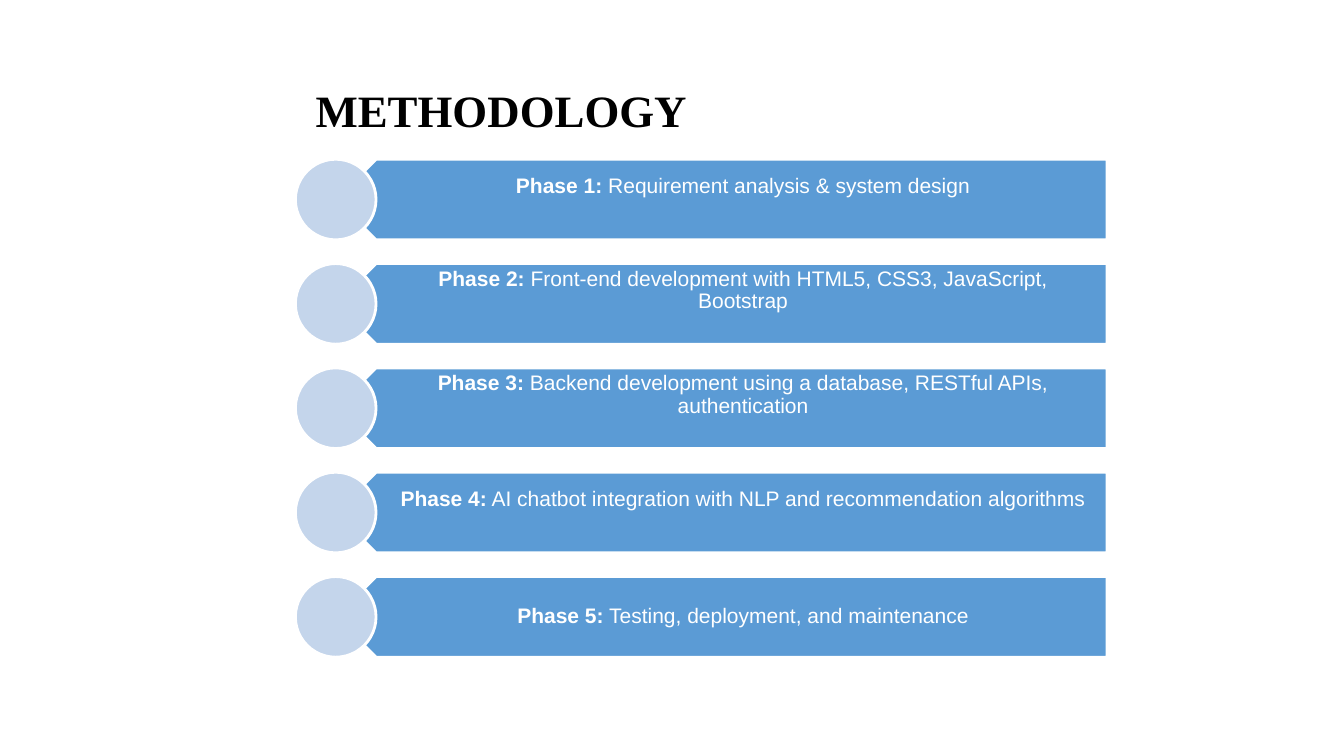
from dataclasses import dataclass

import pptx
import pptx.dml.color
import pptx.enum.shapes
import pptx.enum.text
import pptx.util
from pptx.util import Inches

MSO_SHAPE = pptx.enum.shapes.MSO_SHAPE
PP_ALIGN = pptx.enum.text.PP_ALIGN
MIDDLE = pptx.enum.text.MSO_ANCHOR.MIDDLE

FIRST_TOP = 1.58
PITCH = 1.035
BAR_HEIGHT = 0.8


@dataclass
class Phase:
    label: str
    task: str
    lift: float = 0.13  # inches the wording sits above the middle of its bar


PHASES = [
    Phase("Phase 1:", "Requirement analysis & system design"),
    Phase("Phase 2:", "Front-end development with HTML5, CSS3, JavaScript, Bootstrap"),
    Phase("Phase 3:", "Backend development using a database, RESTful APIs, authentication"),
    Phase("Phase 4:", "AI chatbot integration with NLP and recommendation algorithms"),
    Phase("Phase 5:", "Testing, deployment, and maintenance", lift=0),
]


def rgb(value: str) -> pptx.dml.color.RGBColor:
    return pptx.dml.color.RGBColor.from_string(value)


def style_font(font, name: str, size: float, color: str, bold: bool) -> None:
    font.name = name
    font.size = pptx.util.Pt(size)
    font.bold = bold
    font.color.rgb = rgb(color)


def add_outlined(slide, preset, left: float, top: float, width: float, fill: str):
    shape = slide.shapes.add_shape(
        preset, Inches(left), Inches(top), Inches(width), Inches(BAR_HEIGHT))
    shape.shadow.inherit = False
    shape.fill.solid()
    shape.fill.fore_color.rgb = rgb(fill)
    shape.line.color.rgb = rgb("FFFFFF")
    shape.line.width = pptx.util.Pt(2)
    return shape


def add_wording(slide, phase: Phase, top: float) -> None:
    wording = slide.shapes.add_textbox(
        Inches(3.53), Inches(top - phase.lift), Inches(7.45), Inches(BAR_HEIGHT))
    frame = wording.text_frame
    frame.word_wrap = True
    frame.vertical_anchor = MIDDLE
    frame.margin_left, frame.margin_right = Inches(0.35), Inches(0.12)
    frame.margin_top = frame.margin_bottom = Inches(0.06)
    paragraph = frame.paragraphs[0]
    paragraph.alignment = PP_ALIGN.CENTER
    paragraph.line_spacing = 0.9
    for text, bold in ((phase.label, True), (f" {phase.task}", False)):
        run = paragraph.add_run()
        run.text = text
        style_font(run.font, "Arial", 15, "FFFFFF", bold)


def add_phase(slide, phase: Phase, top: float) -> None:
    bar = add_outlined(slide, MSO_SHAPE.PENTAGON, 3.33, top, 7.65, "5B9BD5")
    bar.rotation = 180
    add_wording(slide, phase, top)
    add_outlined(slide, MSO_SHAPE.OVAL, 2.93, top, BAR_HEIGHT, "C4D5EB")


def add_title(slide, text: str) -> None:
    title = slide.shapes.title
    title.left, title.top = Inches(3.03), Inches(0.4)
    title.width, title.height = Inches(9.39), Inches(1.45)
    title.text_frame.text = text
    title.text_frame.vertical_anchor = MIDDLE
    paragraph = title.text_frame.paragraphs[0]
    paragraph.alignment = PP_ALIGN.LEFT
    paragraph.line_spacing = 0.9
    style_font(paragraph.runs[0].font, "Times New Roman", 32, "000000", True)


def main() -> None:
    deck = pptx.Presentation()
    deck.slide_width, deck.slide_height = Inches(13.33), Inches(7.5)
    slide = deck.slides.add_slide(deck.slide_layouts[5])
    add_title(slide, "METHODOLOGY")
    for index, phase in enumerate(PHASES):
        add_phase(slide, phase, FIRST_TOP + index * PITCH)
    deck.save("out.pptx")


if __name__ == "__main__":
    main()
